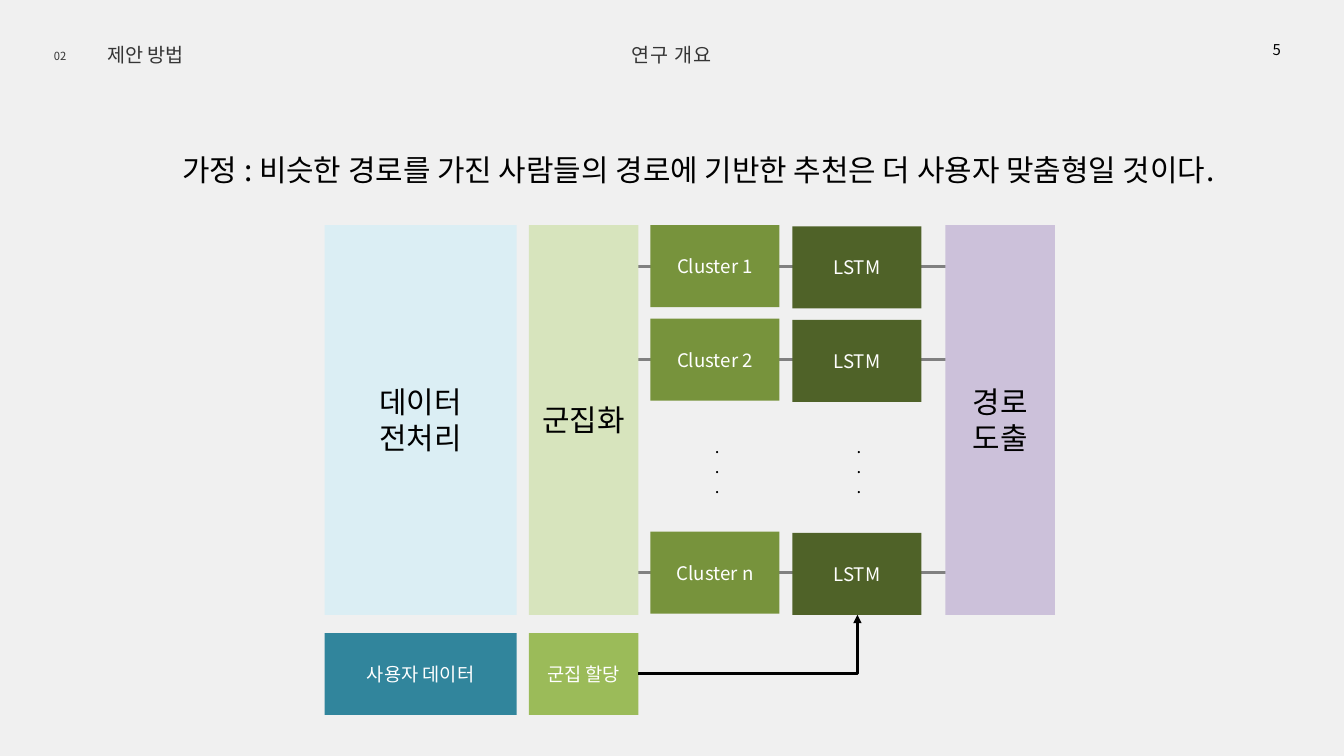
from pptx import Presentation
from pptx import util as u
from pptx.dml.color import RGBColor
from pptx.enum import shapes, text
from pptx.oxml.ns import qn
from lxml import etree

COLUMNS, ROWS = 20, 11.25
LEFT, CENTER, RIGHT = text.PP_ALIGN.LEFT, text.PP_ALIGN.CENTER, text.PP_ALIGN.RIGHT
MIDDLE, TOP = text.MSO_ANCHOR.MIDDLE, text.MSO_ANCHOR.TOP
BLACK, WHITE, GRAY = "000000", "FFFFFF", "353535"


def color(value):
    return RGBColor.from_string(value)


class Diagram:
    font = "Noto Sans CJK KR"
    line_width = 3

    def __init__(self, deck, background):
        self.column = deck.slide_width / COLUMNS
        self.row = deck.slide_height / ROWS
        self.page = deck.slides.add_slide(deck.slide_layouts[6])
        fill = self.page.background.fill
        fill.solid()
        fill.fore_color.rgb = color(background)

    def place(self, x, y, width, height):
        return (u.Emu(round(x * self.column)), u.Emu(round(y * self.row)),
                u.Emu(round(width * self.column)), u.Emu(round(height * self.row)))

    def set_text(self, shape, lines, size, ink, align, anchor, spacing=0):
        frame = shape.text_frame
        frame.word_wrap = True
        frame.vertical_anchor = anchor
        frame.text = lines
        for para in frame.paragraphs:
            para.alignment = align
            para.font.size = u.Pt(size)
            para.font.name = self.font
            para.font.color.rgb = color(ink)
            style = para._p.pPr.find(qn("a:defRPr"))
            etree.SubElement(style, qn("a:ea")).set("typeface", self.font)
            if spacing:
                style.set("spc", str(spacing * 100))

    def label(self, lines, at, size, ink=BLACK, align=CENTER, anchor=MIDDLE, spacing=0):
        box = self.page.shapes.add_textbox(*self.place(*at))
        self.set_text(box, lines, size, ink, align, anchor, spacing)

    def block(self, lines, at, fill, size=20, ink=WHITE):
        box = self.page.shapes.add_shape(shapes.MSO_SHAPE.RECTANGLE, *self.place(*at))
        box.shadow.inherit = False
        box.fill.solid()
        box.fill.fore_color.rgb = color(fill)
        box.line.fill.background()
        self.set_text(box, lines, size, ink, CENTER, MIDDLE)

    def connect(self, start, end, ink, kind=shapes.MSO_CONNECTOR.STRAIGHT):
        line = self.page.shapes.add_connector(kind, *self.place(*start, *end))
        line.line.width = u.Pt(self.line_width)
        line.line.color.rgb = color(ink)
        etree.SubElement(line._element.spPr, qn("a:effectLst"))
        return line

    def corner_arrow(self, start, end, ink):
        arrow = self.connect(start, end, ink, shapes.MSO_CONNECTOR.ELBOW)
        properties = arrow._element.spPr
        properties.find(qn("a:prstGeom")).set("prst", "bentConnector2")
        outline = properties.find(qn("a:ln"))
        etree.SubElement(outline, qn("a:tailEnd")).set("type", "triangle")


def main():
    deck = Presentation()
    deck.slide_width, deck.slide_height = u.Inches(COLUMNS), u.Inches(ROWS)
    diagram = Diagram(deck, "F0F0F0")

    data_x, group_x, cluster_x, model_x, route_x = 4.83, 7.87, 9.68, 11.79, 14.07
    data_width, narrow_width, unit_width = 2.86, 1.63, 1.92
    top, tall, short, user_y = 3.35, 5.8, 1.22, 9.42
    branches = {"1": top, "2": 4.74, "n": 7.91}

    for y in branches.values():
        middle = y + short / 2
        diagram.connect((9.3, middle), (14.86, middle), "808080")

    diagram.label("제안 방법", (1.5, 0.59, 3.98, 0.45), 21, GRAY, LEFT)
    diagram.label("연구 개요", (7.05, 0.59, 5.89, 0.45), 21, GRAY, spacing=1)
    diagram.label("02", (0.67, 0.68, 0.45, 0.3), 12, GRAY)
    diagram.label("5", (16.83, 0.54, 2.33, 0.4), 16, align=RIGHT)
    diagram.label("가정 : 비슷한 경로를 가진 사람들의 경로에 기반한 추천은 더 사용자 맞춤형일 것이다.",
                  (2.58, 2.2, 15.63, 0.64), 32)

    diagram.block("데이터\n전처리", (data_x, top, data_width, tall), "DBEEF4", 32, BLACK)
    diagram.block("군집화", (group_x, top, narrow_width, tall), "D7E4BD", 32, BLACK)
    diagram.block("경로 도출", (route_x, top, narrow_width, tall), "CCC1DA", 32, BLACK)

    for name, y in branches.items():
        diagram.block(f"Cluster {name}", (cluster_x, y, unit_width, short), "77933C")
        diagram.block("LSTM", (model_x, y + 0.02, unit_width, short), "4F6228")

    for x in (cluster_x, model_x):
        diagram.label(".\n.\n.", (x + 0.86, 6.45, 0.67, 1.01), 18, align=LEFT, anchor=TOP)

    diagram.block("사용자 데이터", (data_x, user_y, data_width, short), "31859C")
    diagram.block("군집 할당", (group_x, user_y, narrow_width, short), "9BBB59")
    diagram.corner_arrow((group_x + narrow_width, 10.02), (12.76, top + tall), BLACK)

    deck.save("out.pptx")


if __name__ == "__main__":
    main()
